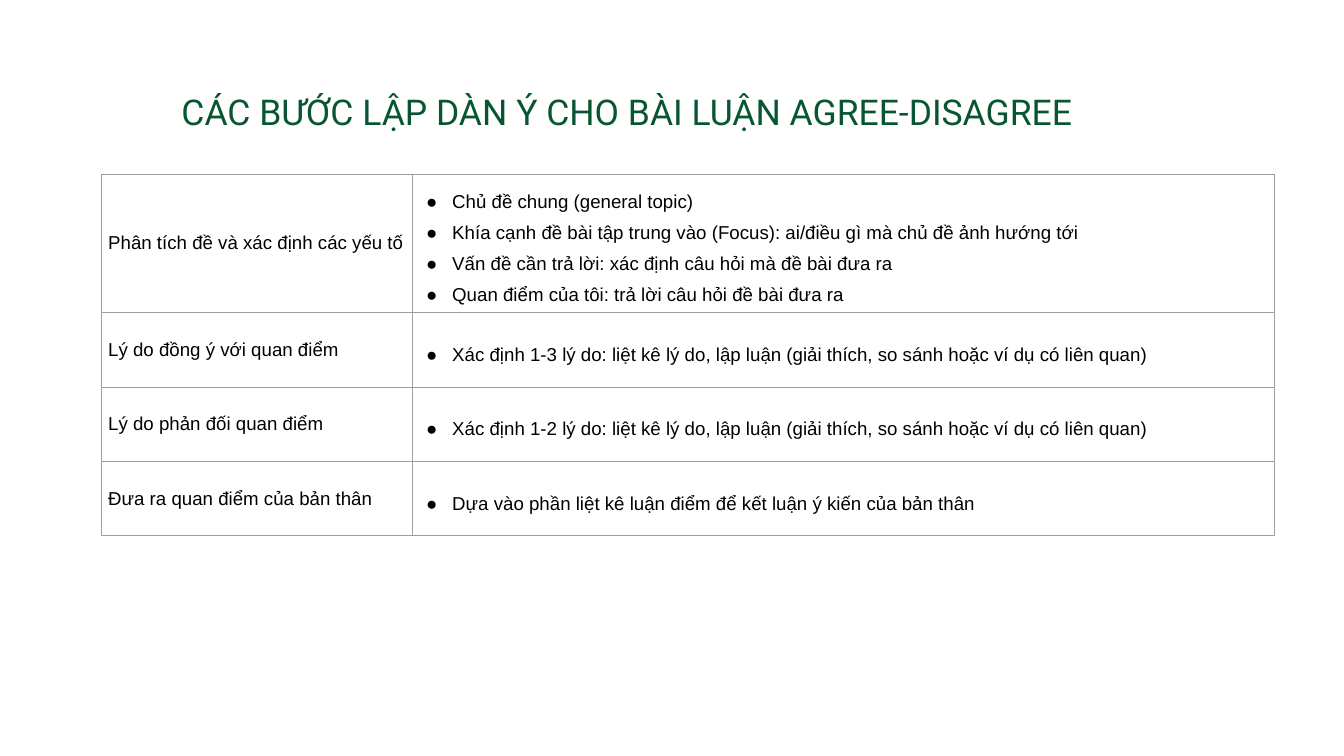
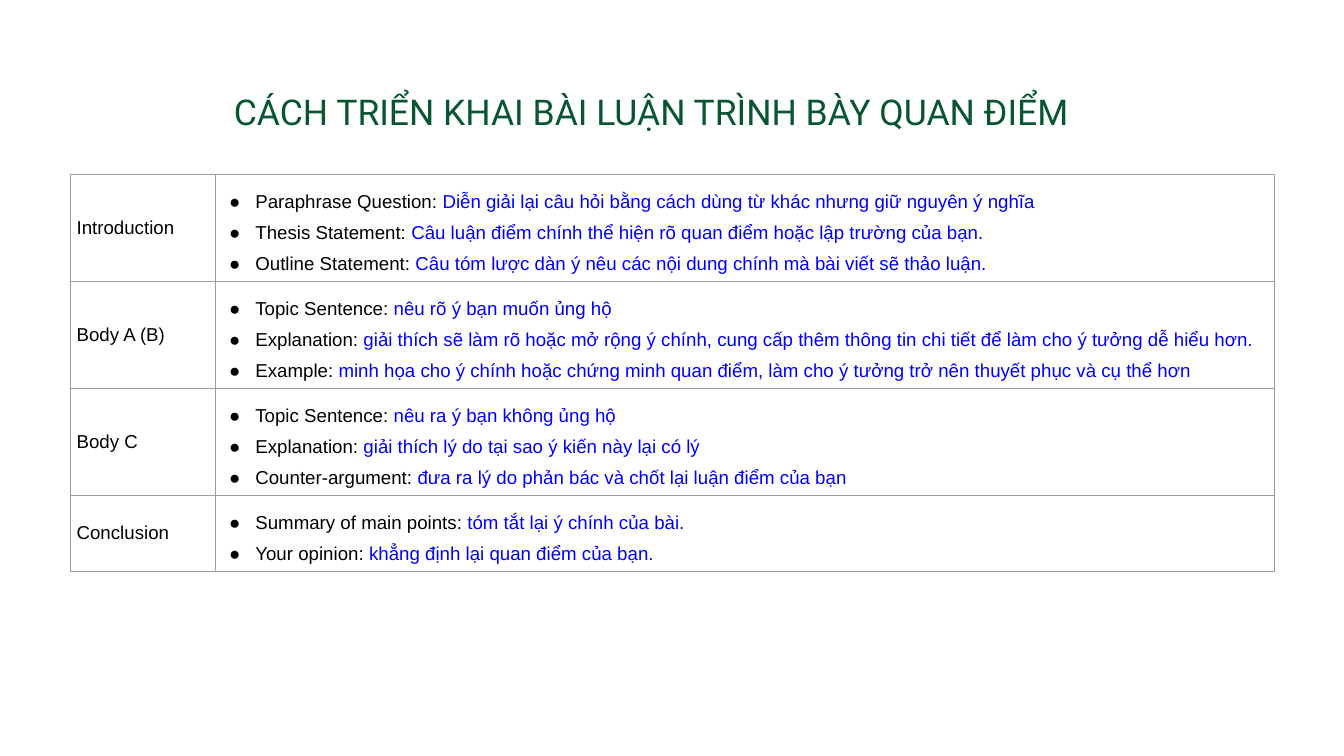
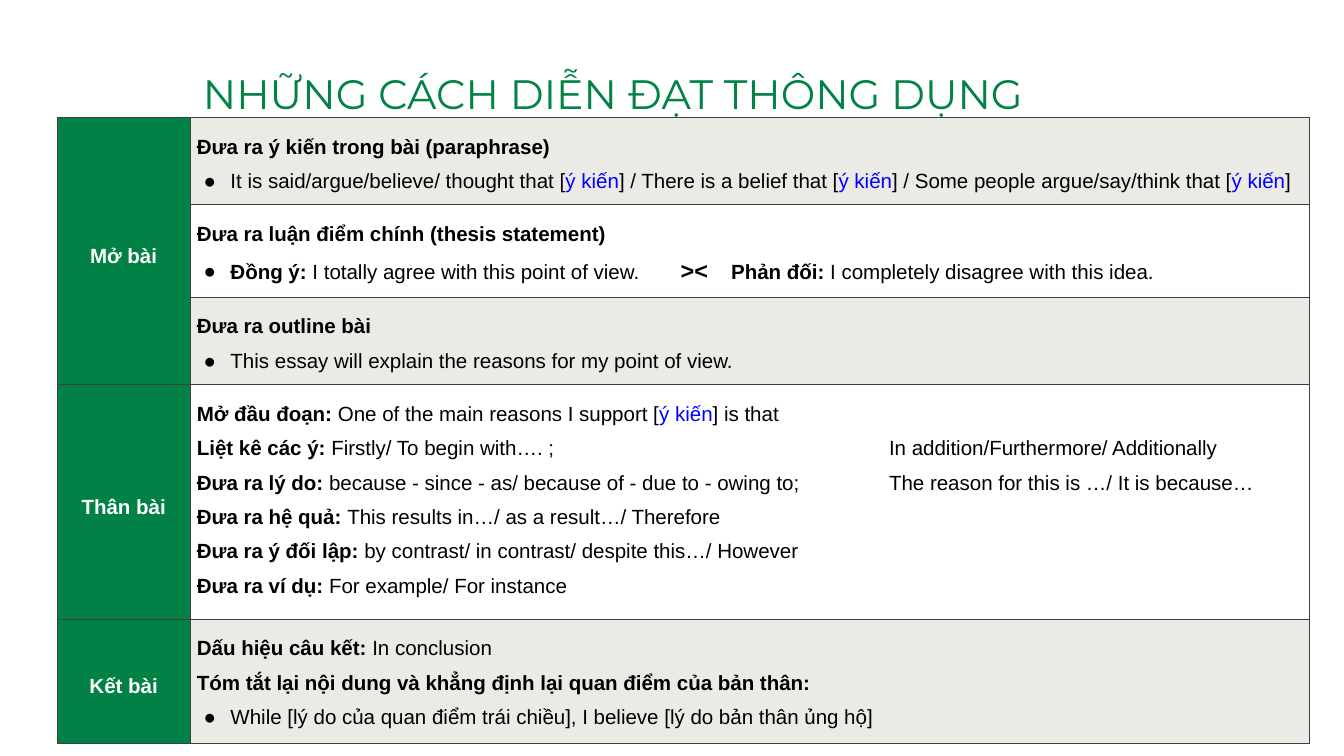
from pptx import Presentation as Deck
from pptx.dml.color import RGBColor as Rgb
from pptx.enum.text import MSO_ANCHOR as Anchor, MSO_AUTO_SIZE as Auto, PP_ALIGN as Align
from pptx.oxml.ns import qn
from pptx.util import Inches, Pt
from lxml.etree import SubElement as Sub, Element as Elem

COLS, ROWS = 20, 11.25
BLACK, BLUE, WHITE = "000000", "0000FF", "FFFFFF"
PINE, LEAF, GREEN, SAND = "085630", "018345", "018146", "E4E2DB"
GREY, DARK = "9E9E9E", "414041"
PAD = 0.1
STEPS = [1.02, 1.11, 1.11, 1.1]

MARKS = {
    "#": {"color": BLUE},
    "*": {"bold": True},
    "^": {"bold": True, "size": 25},
}


def rgb(code):
    return Rgb.from_string(code)


def ink(node, code):
    Sub(node, qn("a:srgbClr"), val=code)


class Page:
    def __init__(self):
        self.deck = Deck()
        self.deck.slide_width = Inches(COLS)
        self.deck.slide_height = Inches(ROWS)
        self.slide = None

    def x(self, cols):
        return int(self.deck.slide_width * cols / COLS)

    def y(self, rows):
        return int(self.deck.slide_height * rows / ROWS)

    def style(self, run, look):
        for key, val in look.items():
            if key == "color":
                run.font.color.rgb = rgb(val)
            else:
                setattr(run.font, key, Pt(val) if key == "size" else val)

    def title(self, text, box, look, pad=PAD, lead=None):
        self.slide = self.deck.slides.add_slide(self.deck.slide_layouts[5])
        head = self.slide.shapes.title
        left, top, wide, high = box
        place = {"left": self.x(left), "top": self.y(top),
                 "width": self.x(wide), "height": self.y(high)}
        for key, val in place.items():
            setattr(head, key, val)
        frame = head.text_frame
        sides = ("left", "right", "top", "bottom")
        form = {f"margin_{side}": self.x(pad) for side in sides}
        form |= {"word_wrap": True, "auto_size": Auto.NONE, "vertical_anchor": Anchor.TOP}
        for key, val in form.items():
            setattr(frame, key, val)
        para = frame.paragraphs[0]
        para.alignment = Align.LEFT
        if lead:
            para.line_spacing = lead
        run = para.add_run()
        run.text = text
        self.style(run, look)

    def para(self, para, text, look, align, lead, hang, tabs):
        para.alignment = align
        para.line_spacing = lead
        props = para._p.get_or_add_pPr()
        if text.startswith("●"):
            text = text[1:]
            props.set("marL", str(self.x(0.5)))
            props.set("indent", str(-self.x(hang)))
            ink(Sub(props, qn("a:buClr")), BLACK)
            Sub(props, qn("a:buFont"), typeface=look["name"])
            Sub(props, qn("a:buChar"), char="●")
        if "\t" in text:
            stops = Sub(props, qn("a:tabLst"))
            for stop in tabs:
                Sub(stops, qn("a:tab"), pos=str(self.x(stop)), algn="l")
        for part in text.split("|"):
            mark = MARKS.get(part[:1], {})
            run = para.add_run()
            run.text = part[1:] if mark else part
            self.style(run, look | mark)

    def edge(self, cell, code):
        props = cell._tc.get_or_add_tcPr()
        for spot, side in enumerate(("lnL", "lnR", "lnT", "lnB")):
            line = Elem(qn(f"a:{side}"), w=str(Pt(0.75)))
            ink(Sub(line, qn("a:solidFill")), code)
            props.insert(spot, line)

    def cell(self, cell, lines, look, fill=None, alpha=None, line=GREY, mid=False,
             align=Align.LEFT, lead=1.5, hang=0.39, tabs=()):
        for side in ("left", "right", "top", "bottom"):
            setattr(cell, f"margin_{side}", self.x(PAD))
        cell.vertical_anchor = Anchor.MIDDLE if mid else Anchor.TOP
        if fill:
            cell.fill.solid()
            cell.fill.fore_color.rgb = rgb(fill)
            if alpha:
                tone = cell._tc.tcPr.find(".//" + qn("a:srgbClr"))
                Sub(tone, qn("a:alpha"), val=str(alpha * 1000))
        else:
            cell.fill.background()
        self.edge(cell, line)
        frame = cell.text_frame
        for num, text in enumerate(lines):
            para = frame.add_paragraph() if num else frame.paragraphs[0]
            self.para(para, text, look, align, lead, hang, tabs)

    def table(self, left, top, cols, rows):
        grid = self.slide.shapes.add_table(
            len(rows), len(cols), self.x(left), self.y(top),
            self.x(sum(cols)), self.y(sum(rows))).table
        grid.first_row = grid.horz_banding = False
        for col, wide in zip(grid.columns, cols):
            col.width = self.x(wide)
        for row, high in zip(grid.rows, rows):
            row.height = self.y(high)
        return grid

    def outline(self, left, cols, data):
        grid = self.table(left, 2.59, cols, STEPS)
        look = {"name": "Arial", "size": 20, "color": BLACK}
        for row, (name, lines) in enumerate(data):
            self.cell(grid.cell(row, 0), [name], look, mid=True, lead=1)
            points = ["●" + text for text in lines]
            self.cell(grid.cell(row, 1), points, look, mid=len(lines) == 1)

    def phrases(self, left, top, cols, rows, data):
        grid = self.table(left, top, cols, rows)
        base = {"name": "Arial", "size": 22}
        head = base | {"color": WHITE, "bold": True}
        body = base | {"color": BLACK, "bold": False}
        row = 0
        for name, groups in data:
            for step, (lines, shade, tabs) in enumerate(groups):
                self.cell(grid.cell(row + step, 0), [] if step else [name], head,
                          fill=GREEN, line=DARK, mid=True, align=Align.CENTER)
                self.cell(grid.cell(row + step, 1), lines, body,
                          fill=SAND if shade else None, alpha=70, line=DARK,
                          align=Align.JUSTIFY, hang=0.4, tabs=tabs)
            last = row + len(groups) - 1
            if last > row:
                grid.cell(row, 0).merge(grid.cell(last, 0))
            row = last + 1


PLAN = [
    ("Phân tích đề và xác định các yếu tố", [
        "Chủ đề chung (general topic)",
        "Khía cạnh đề bài tập trung vào (Focus): ai/điều gì mà chủ đề ảnh hướng tới",
        "Vấn đề cần trả lời: xác định câu hỏi mà đề bài đưa ra",
        "Quan điểm của tôi: trả lời câu hỏi đề bài đưa ra"]),
    ("Lý do đồng ý với quan điểm", [
        "Xác định 1-3 lý do: liệt kê lý do, lập luận (giải thích, so sánh hoặc ví dụ có liên quan)"]),
    ("Lý do phản đối quan điểm", [
        "Xác định 1-2 lý do: liệt kê lý do, lập luận (giải thích, so sánh hoặc ví dụ có liên quan)"]),
    ("Đưa ra quan điểm của bản thân", [
        "Dựa vào phần liệt kê luận điểm để kết luận ý kiến của bản thân"]),
]

ESSAY = [
    ("Introduction", [
        "Paraphrase Question: |#Diễn giải lại câu hỏi bằng cách dùng từ khác nhưng giữ nguyên ý nghĩa",
        "Thesis Statement: |#Câu luận điểm chính thể hiện rõ quan điểm hoặc lập trường của bạn.",
        "Outline Statement: |#Câu tóm lược dàn ý nêu các nội dung chính mà bài viết sẽ thảo luận."]),
    ("Body A (B)", [
        "Topic Sentence: |#nêu rõ ý bạn muốn ủng hộ",
        "Explanation: |#giải thích sẽ làm rõ hoặc mở rộng ý chính, cung cấp thêm thông tin chi tiết "
        "để làm cho ý tưởng dễ hiểu hơn.",
        "Example: |#minh họa cho ý chính hoặc chứng minh quan điểm, làm cho ý tưởng trở nên "
        "thuyết phục và cụ thể hơn"]),
    ("Body C", [
        "Topic Sentence: |#nêu ra ý bạn không ủng hộ",
        "Explanation: |#giải thích lý do tại sao ý kiến này lại có lý",
        "Counter-argument: |#đưa ra lý do phản bác và chốt lại luận điểm của bạn"]),
    ("Conclusion", [
        "Summary of main points: |#tóm tắt lại ý chính của bài.",
        "Your opinion: |#khẳng định lại quan điểm của bạn."]),
]

WAYS = [
    ("Mở bài", [
        (["*Đưa ra ý kiến trong bài (paraphrase)",
          "●It is said/argue/believe/ thought that [|#ý kiến|] / There is a belief that "
          "[|#ý kiến|] / Some people argue/say/think that [|#ý kiến|]"], True, ()),
        (["*Đưa ra luận điểm chính (thesis statement)",
          "●*Đồng ý: |I totally agree with this point of view.\t|^><|\t|*Phản đối:"
          "| I completely disagree with this idea."], False, (7.2, 7.95)),
        (["*Đưa ra outline bài",
          "●This essay will explain the reasons for my point of view."], True, ()),
    ]),
    ("Thân bài", [
        (["*Mở đầu đoạn: |One of the main reasons I support [|#ý kiến|] is that",
          "*Liệt kê các ý: |Firstly/ To begin with…. ;\tIn addition/Furthermore/ Additionally",
          "*Đưa ra lý do: |because - since - as/ because of - due to - owing to;"
          "\tThe reason for this is …/ It is because…",
          "*Đưa ra hệ quả: |This results in…/ as a result…/ Therefore",
          "*Đưa ra ý đối lập: |by contrast/ in contrast/ despite this…/ However",
          "*Đưa ra ví dụ:| For example/ For instance"], False, (10.3,)),
    ]),
    ("Kết bài", [
        (["*Dấu hiệu câu kết: |In conclusion",
          "*Tóm tắt lại nội dung và khẳng định lại quan điểm của bản thân:",
          "●While [lý do của quan điểm trái chiều], I believe [lý do bản thân ủng hộ]"], True, ()),
    ]),
]


def main():
    page = Page()
    look = {"name": "Roboto", "size": 38, "color": PINE}
    page.title("CÁC BƯỚC LẬP DÀN Ý CHO BÀI LUẬN AGREE-DISAGREE", (2.6, 1.24, 14.79, 0.89), look)
    page.outline(1.51, [4.62, 12.83], PLAN)
    page.title("CÁCH TRIỂN KHAI BÀI LUẬN TRÌNH BÀY QUAN ĐIỂM", (3.38, 1.24, 13.23, 0.89), look)
    page.outline(1.04, [2.16, 15.76], ESSAY)
    look = {"name": "Montserrat", "size": 44, "color": LEAF}
    page.title("NHỮNG CÁCH DIỄN ĐẠT THÔNG DỤNG", (3.02, 0.56, 12.99, 0.74), look, pad=0, lead=1.62)
    page.phrases(0.85, 1.75, [1.98, 16.66], [1.29, 1.38, 1.3, 3.49, 1.85], WAYS)
    page.deck.save("out.pptx")


if __name__ == "__main__":
    main()
